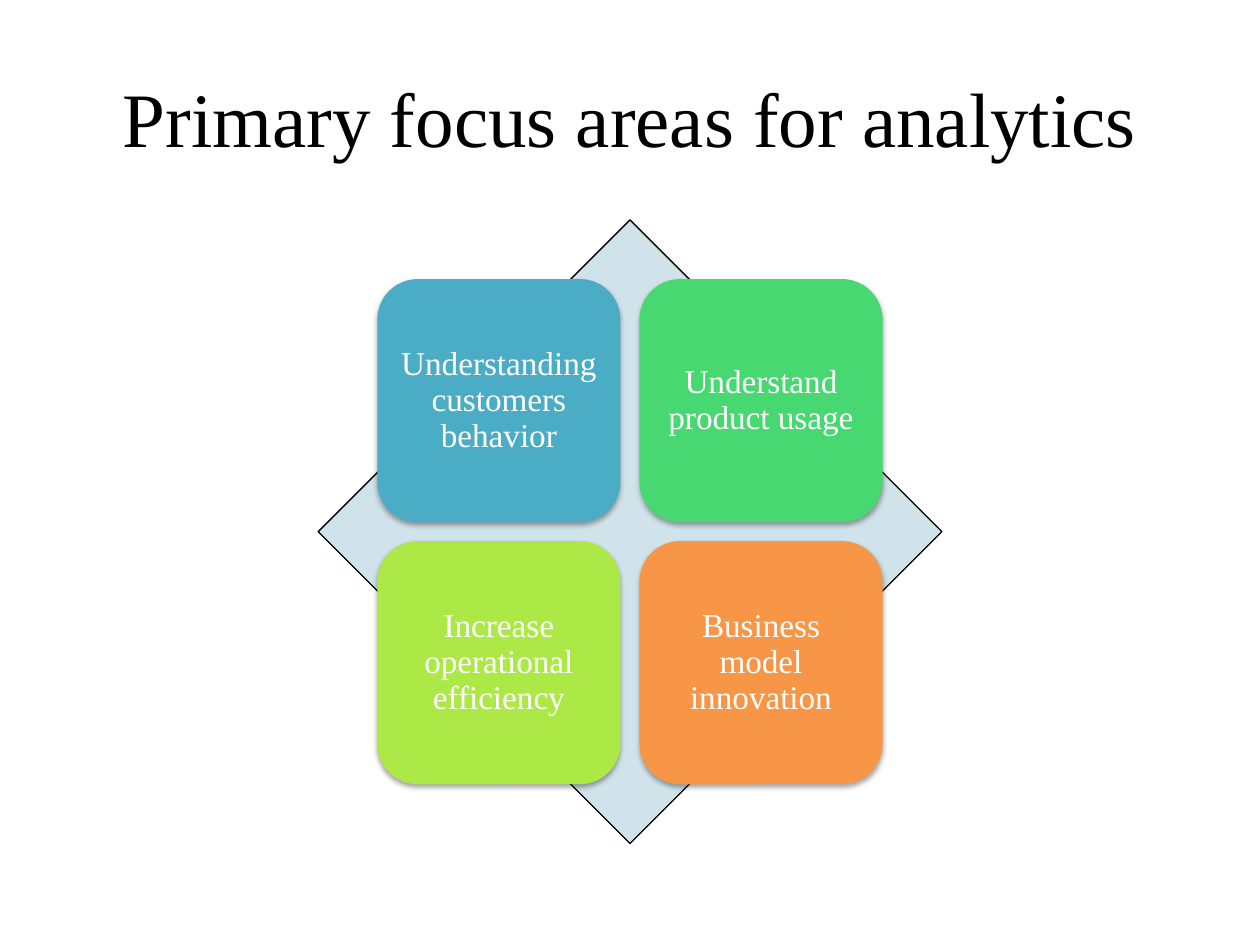
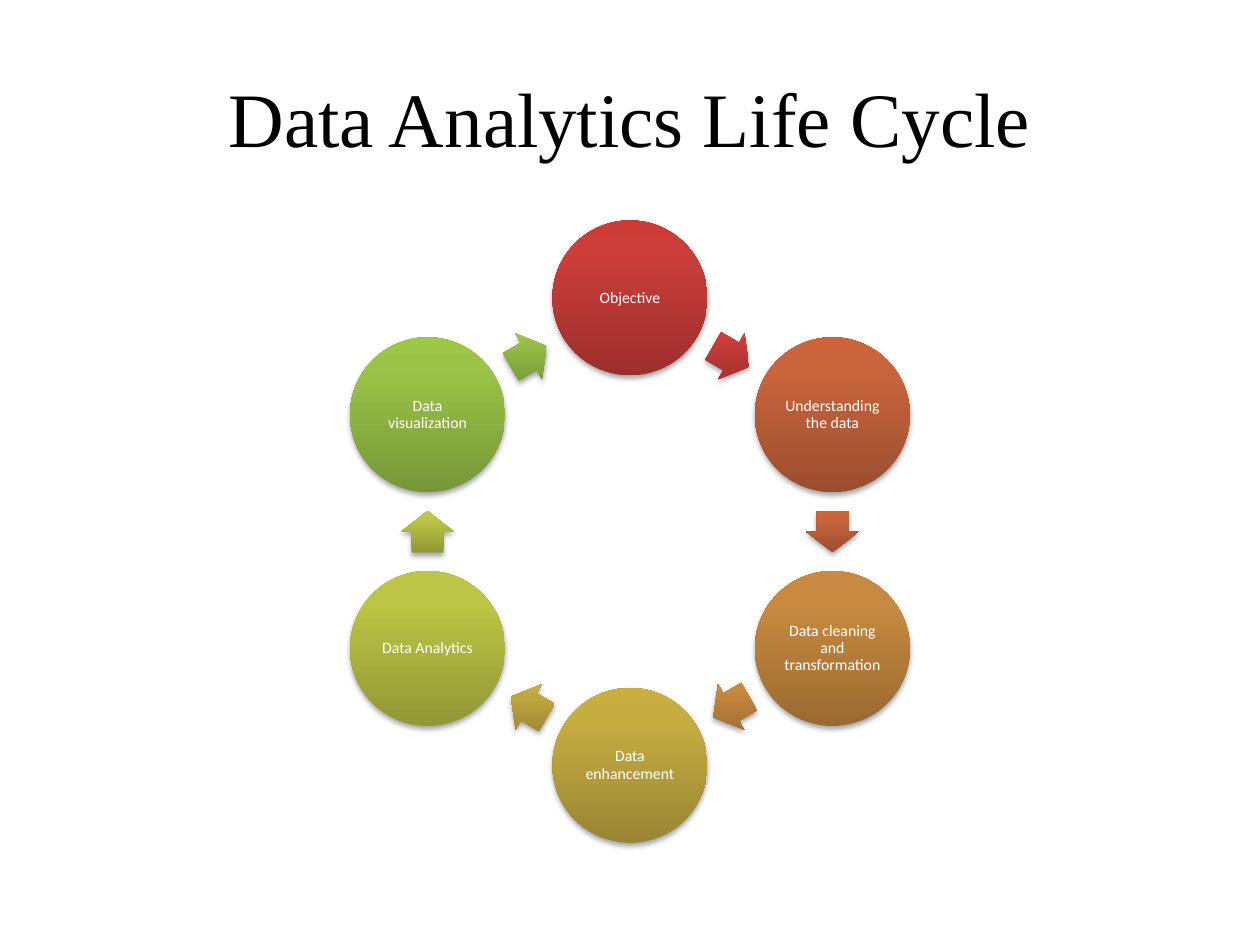
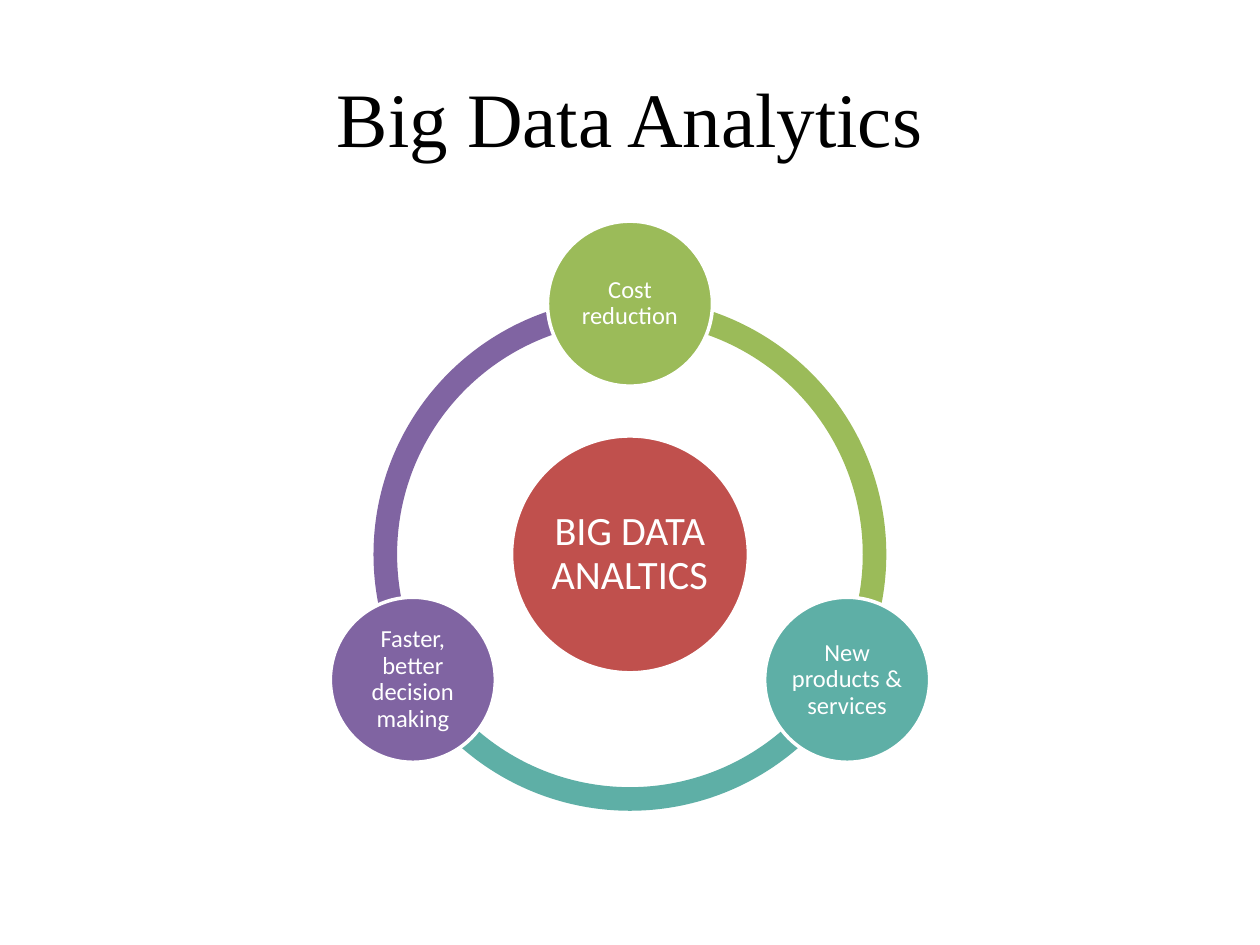
import math

from pptx import Presentation
from pptx import util as u
from pptx.dml.color import RGBColor
from pptx.enum import shapes, text
from pptx.oxml import parse_xml
from pptx.oxml.ns import nsdecls

SERIF, SANS = "Times New Roman", "Calibri"
BLACK = RGBColor(0x00, 0x00, 0x00)
WHITE = RGBColor(0xFF, 0xFF, 0xFF)
PALE_BLUE = RGBColor(0xD0, 0xE3, 0xEA)
BLUE = RGBColor(0x4B, 0xAC, 0xC6)
GREEN = RGBColor(0x47, 0xD8, 0x72)
LIME = RGBColor(0xAC, 0xE9, 0x46)
ORANGE = RGBColor(0xF7, 0x96, 0x46)
RED = RGBColor(0xC0, 0x50, 0x4D)
OLIVE = RGBColor(0x9B, 0xBB, 0x59)
TEAL = RGBColor(0x5E, 0xAF, 0xA6)
PURPLE = RGBColor(0x80, 0x64, 0xA2)

FOCUS_TITLE = "Primary focus areas for analytics"
FOCUS_AREAS = [
    ("Understanding customers behavior", BLUE),
    ("Understand product usage", GREEN),
    ("Increase operational efficiency", LIME),
    ("Business model innovation", ORANGE),
]

CYCLE_TITLE = "Data Analytics Life Cycle"
CYCLE_STEPS = [
    ("Objective", ("9C2F2D", "CB3E3A", "CE3B37")),
    ("Understanding the data", ("9B4E2F", "C9653D", "CD643A")),
    ("Data cleaning and transformation", ("9A6A31", "C88A40", "CB8B3D")),
    ("Data enhancement", ("998533", "C6AD42", "CAAF40")),
    ("Data Analytics", ("919835", "BCC545", "BFC843")),
    ("Data visualization", ("779737", "9BC348", "9DC746")),
]
GRADIENT_STOPS = (0, 80, 100)

BENEFITS_TITLE = "Big Data Analytics"
BENEFITS_HUB = "BIG DATA ANALTICS"
BENEFITS = [
    ("Cost reduction", OLIVE),
    ("New products & services", TEAL),
    ("Faster, better decision making", PURPLE),
]

MID_X, MID_Y = 5, 4.22


def write(tf, content, size, font=SANS, color=WHITE, inset=None, spacing=0.9):
    tf.word_wrap = True
    tf.vertical_anchor = text.MSO_ANCHOR.MIDDLE
    if inset is not None:
        tf.margin_left = tf.margin_right = u.Inches(inset)
        tf.margin_top = tf.margin_bottom = u.Inches(inset)
    p = tf.paragraphs[0]
    p.alignment = text.PP_ALIGN.CENTER
    p.line_spacing = spacing
    r = p.add_run()
    r.text = content
    r.font.name, r.font.size, r.font.color.rgb = font, u.Pt(size), color


def titled_slide(title):
    s = prs.slides.add_slide(prs.slide_layouts[5])
    sp = s.shapes.title
    sp.left, sp.top = u.Inches(0.5), u.Inches(0.3)
    sp.width, sp.height = u.Inches(9), u.Inches(1.25)
    write(sp.text_frame, title, 44, font=SERIF, color=BLACK, spacing=1)
    return s


def add_centred(s, kind, x, y, w, h, fill, line=None, line_width=0.75, shadow=False):
    sp = s.shapes.add_shape(kind, u.Inches(x - w / 2), u.Inches(y - h / 2),
                            u.Inches(w), u.Inches(h))
    if isinstance(fill, RGBColor):
        sp.fill.solid()
        sp.fill.fore_color.rgb = fill
    else:
        add_gradient(sp, fill)
    if line is None:
        sp.line.fill.background()
    else:
        sp.line.color.rgb = line
        sp.line.width = u.Pt(line_width)
    sp.shadow.inherit = False
    if shadow:
        add_shadow(sp)
    return sp


def add_gradient(sp, colors):
    stops = "".join(f'<a:gs pos="{pos * 1000}"><a:srgbClr val="{c}"/></a:gs>'
                    for pos, c in zip(GRADIENT_STOPS, colors))
    sp.element.spPr.insert(2, parse_xml(
        f'<a:gradFill {nsdecls("a")} rotWithShape="0"><a:gsLst>{stops}</a:gsLst>'
        '<a:lin ang="16200000" scaled="0"/></a:gradFill>'))


def add_shadow(sp):
    effects = sp.element.spPr.find("{*}effectLst")
    effects.append(parse_xml(
        f'<a:outerShdw {nsdecls("a")} blurRad="{u.Pt(3.1)}" dist="{u.Pt(1.8)}" '
        'dir="5400000" rotWithShape="0"><a:srgbClr val="000000">'
        '<a:alpha val="35000"/></a:srgbClr></a:outerShdw>'))


def on_circle(mid_y, radius, degrees):
    a = math.radians(degrees)
    return MID_X + radius * math.cos(a), mid_y + radius * math.sin(a)


def focus_slide():
    side, pitch = 1.93, 2.08
    s = titled_slide(FOCUS_TITLE)
    add_centred(s, shapes.MSO_SHAPE.DIAMOND, MID_X, MID_Y, 4.95, 4.95, PALE_BLUE, line=BLACK)
    for i, (label, color) in enumerate(FOCUS_AREAS):
        row, col = divmod(i, 2)
        sp = add_centred(s, shapes.MSO_SHAPE.ROUNDED_RECTANGLE,
                         MID_X + (col - 0.5) * pitch, MID_Y + (row - 0.5) * pitch,
                         side, side, color, shadow=True)
        write(sp.text_frame, label, 19, font=SERIF, inset=0.08)


def cycle_slide():
    radius, diameter, arrow_w, arrow_h = 1.855, 1.23, 0.33, 0.42
    step = 360 / len(CYCLE_STEPS)
    arrow_radius = radius * math.cos(math.radians(step / 2))
    s = titled_slide(CYCLE_TITLE)
    for i, (label, colors) in enumerate(CYCLE_STEPS):
        angle = i * step - 90
        sp = add_centred(s, shapes.MSO_SHAPE.OVAL, *on_circle(MID_Y, radius, angle),
                         diameter, diameter, colors, shadow=True)
        write(sp.text_frame, label, 9, inset=0.01)
        sp = add_centred(s, shapes.MSO_SHAPE.RIGHT_ARROW,
                         *on_circle(MID_Y, arrow_radius, angle + step / 2),
                         arrow_w, arrow_h, colors, shadow=True)
        sp.adjustments[0], sp.adjustments[1] = 0.6, 0.5
        sp.rotation = (angle + step / 2 + 90) % 360


def benefits_slide():
    mid_y, radius, ring, hub, node = 4.4, 1.99, 4.07, 1.88, 1.31
    angle_unit = 0.6
    step = 360 / len(BENEFITS)
    s = titled_slide(BENEFITS_TITLE)
    for i, (_, color) in reversed(list(enumerate(BENEFITS))):
        start = (i * step + 270) % 360
        sp = add_centred(s, shapes.MSO_SHAPE.BLOCK_ARC, MID_X, mid_y, ring, ring, color)
        sp.adjustments[0] = start * angle_unit
        sp.adjustments[1] = (start + step) % 360 * angle_unit
        sp.adjustments[2] = 0.046
    sp = add_centred(s, shapes.MSO_SHAPE.OVAL, MID_X, mid_y, hub, hub, RED,
                     line=WHITE, line_width=2)
    write(sp.text_frame, BENEFITS_HUB, 23, inset=0.03)
    for i, (label, color) in enumerate(BENEFITS):
        sp = add_centred(s, shapes.MSO_SHAPE.OVAL, *on_circle(mid_y, radius, i * step - 90),
                         node, node, color, line=WHITE, line_width=2)
        write(sp.text_frame, label, 14, inset=0.02)


prs = Presentation()
prs.slide_width, prs.slide_height = u.Inches(10), u.Inches(7.5)
focus_slide()
cycle_slide()
benefits_slide()
prs.save("out.pptx")
